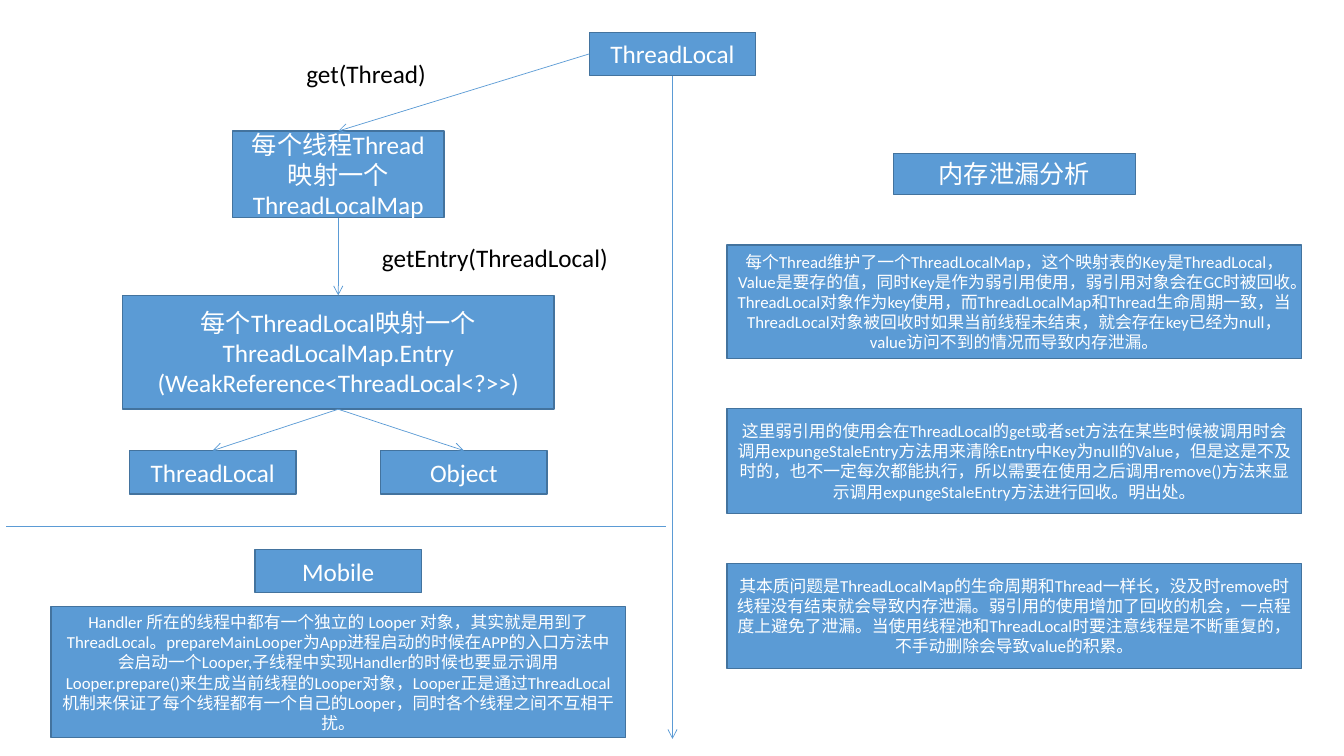
from lxml import etree
from pptx import Presentation
from pptx.dml.color import RGBColor
from pptx.enum.shapes import MSO_CONNECTOR, MSO_SHAPE
from pptx.enum.text import MSO_ANCHOR, MSO_AUTO_SIZE, PP_ALIGN
from pptx.oxml.ns import qn
from pptx.util import Inches, Pt

RECT = MSO_SHAPE.RECTANGLE
STRAIGHT = MSO_CONNECTOR.STRAIGHT
MIDDLE = MSO_ANCHOR.MIDDLE
CENTER, LEFT = PP_ALIGN.CENTER, PP_ALIGN.LEFT
GROW = MSO_AUTO_SIZE.SHAPE_TO_FIT_TEXT
TOP_SITE, LEFT_SITE, BOTTOM_SITE = 0, 1, 2  # connection sites of a rectangle

COLORS = {"fill": "5B9BD5", "border": "43739E", "light": "FFFFFF", "dark": "000000"}
FONT = "Calibri"
BIG, SMALL = 18, 12

# Grid cells are a tenth of an inch
CELL = 0.1
LEFT_AXIS, MID_AXIS, RIGHT_AXIS = 33.55, 66.7, 100.6
NODE = (16.5, 4.3)
TEXT_W = 57
LEAF_OFFSET = 12.45
NOTE_TOP, NOTE_GAP = 24.3, 4.95
BOTTOM = 73.3

NOTES = [
    (11.3, "每个Thread维护了一个ThreadLocalMap，这个映射表的Key是ThreadLocal，"
           "Value是要存的值，同时Key是作为弱引用使用，弱引用对象会在GC时被回收。"
           "ThreadLocal对象作为key使用，而ThreadLocalMap和Thread生命周期一致，"
           "当ThreadLocal对象被回收时如果当前线程未结束，就会存在key已经为null，"
           "value访问不到的情况而导致内存泄漏。"),
    (10.4, "这里弱引用的使用会在ThreadLocal的get或者set方法在某些时候被调用时"
           "会调用expungeStaleEntry方法用来清除Entry中Key为null的Value，"
           "但是这是不及时的，也不一定每次都能执行，所以需要在使用之后调用remove()"
           "方法来显示调用expungeStaleEntry方法进行回收。明出处。"),
    (10.4, "其本质问题是ThreadLocalMap的生命周期和Thread一样长，没及时remove"
           "时线程没有结束就会导致内存泄漏。弱引用的使用增加了回收的机会，"
           "一点程度上避免了泄漏。当使用线程池和ThreadLocal时要注意线程是不断重复的，"
           "不手动删除会导致value的积累。"),
]
LOOPER_NOTE = (
    "Handler 所在的线程中都有一个独立的 Looper 对象，其实就是用到了ThreadLocal。"
    "prepareMainLooper为App进程启动的时候在APP的入口方法中会启动一个Looper,"
    "子线程中实现Handler的时候也要显示调用Looper.prepare()来生成当前线程的Looper对象，"
    "Looper正是通过ThreadLocal机制来保证了每个线程都有一个自己的Looper，"
    "同时各个线程之间不互相干扰。")


def cells(n):
    """Turn grid cells into a length."""
    return Inches(n * CELL)


def rgb(name):
    """Look up a palette colour."""
    return RGBColor.from_string(COLORS[name])


class Diagram:
    """Holds the slide and draws every element in one style."""

    def __init__(self, slide):
        """Keep the slide to draw on."""
        self.s = slide

    def set_text(self, sp, text, size, color, align):
        """Set a shape's text and format its runs."""
        tf = sp.text_frame
        tf.text = text
        for p in tf.paragraphs:
            p.alignment = align
            for r in p.runs:
                r.font.name, r.font.size = FONT, Pt(size)
                r.font.color.rgb = rgb(color)
        return tf

    def box(self, text, axis, top, width, height, size=BIG):
        """Draw a filled box centred on a vertical axis."""
        sp = self.s.shapes.add_shape(RECT, cells(axis - width / 2), cells(top),
                                     cells(width), cells(height))
        sp.shadow.inherit = False
        sp.fill.solid()
        sp.fill.fore_color.rgb = rgb("fill")
        sp.line.color.rgb = rgb("border")
        sp.line.width = Pt(1)
        tf = self.set_text(sp, text, size, "light", CENTER)
        tf.word_wrap = True
        tf.vertical_anchor = MIDDLE
        return sp

    def label(self, text, left, top, width):
        """Place a one-line call label."""
        sp = self.s.shapes.add_textbox(cells(left), cells(top), cells(width), cells(4))
        tf = self.set_text(sp, text, BIG, "dark", LEFT)
        tf.word_wrap = False
        tf.auto_size = GROW

    def line(self, start=(0, 0), end=(0, 0), arrow=False):
        """Draw a thin straight line, optionally with an arrowhead."""
        cx = self.s.shapes.add_connector(STRAIGHT, *map(cells, start + end))
        cx.line.color.rgb = rgb("fill")
        cx.line.width = Pt(0.5)
        sp_pr = cx.element.spPr
        if arrow:
            etree.SubElement(sp_pr.find(qn("a:ln")), qn("a:tailEnd"), type="arrow")
        etree.SubElement(sp_pr, qn("a:effectLst"))
        return cx

    def link(self, src, dst, site=BOTTOM_SITE):
        """Join a site of one box to the top of another."""
        cx = self.line(arrow=True)
        cx.begin_connect(src, site)
        cx.end_connect(dst, TOP_SITE)


prs = Presentation()
prs.slide_width, prs.slide_height = Inches(13.33), Inches(7.5)
d = Diagram(prs.slides.add_slide(prs.slide_layouts[6]))

# Lookup chain
root = d.box("ThreadLocal", MID_AXIS, 3.2, *NODE)
thread_map = d.box("每个线程Thread映射一个ThreadLocalMap", LEFT_AXIS, 13, 21, 8.6)
entry = d.box("每个ThreadLocal映射一个ThreadLocalMap.Entry\n"
              "(WeakReference<ThreadLocal<?>>)", LEFT_AXIS, 29.3, 42.8, 11.3)
d.link(root, thread_map, LEFT_SITE)
d.link(thread_map, entry)
for name, side in (("ThreadLocal", -1), ("Object", 1)):
    d.link(entry, d.box(name, LEFT_AXIS + side * LEAF_OFFSET, 44.7, *NODE))
d.label("get(Thread)", 29.4, 5.3, 14.7)
d.label("getEntry(ThreadLocal)", 36.9, 23.5, 26.5)

# Dividers
d.line((MID_AXIS, 7.5), (MID_AXIS, BOTTOM), arrow=True)
d.line((0.6, 52.2), (66.1, 52.2))

# Platform usage
d.box("Mobile", LEFT_AXIS, 54.5, *NODE)
d.box(LOOPER_NOTE, LEFT_AXIS, 60.2, TEXT_W, 13, SMALL)

# Memory leak analysis
d.box("内存泄漏分析", RIGHT_AXIS, 15.2, 24, 4.1)
top = NOTE_TOP
for height, note in NOTES:
    d.box(note, RIGHT_AXIS, top, TEXT_W, height, SMALL)
    top += height + NOTE_GAP

prs.save("out.pptx")
